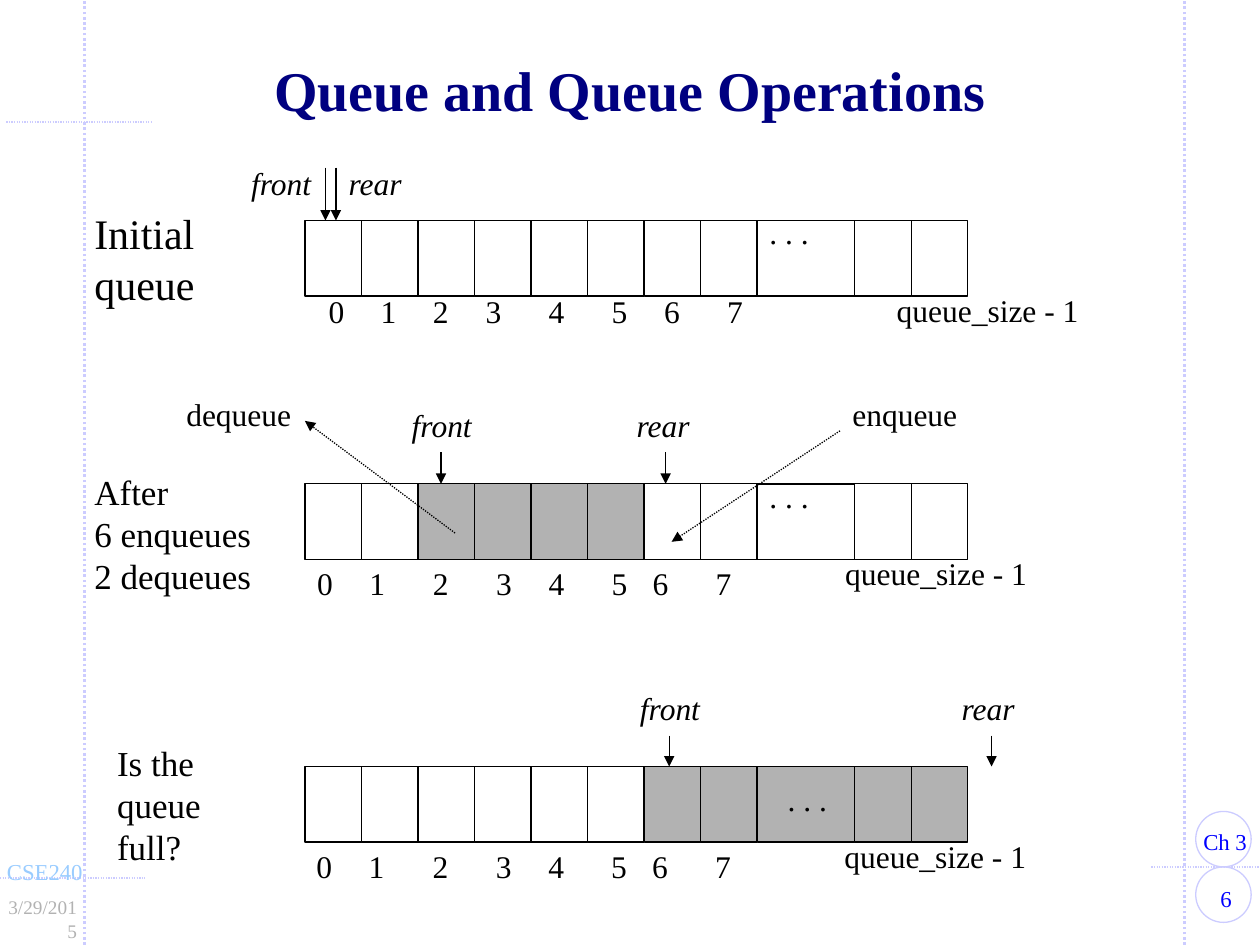
from dataclasses import dataclass

from lxml import etree
from pptx import Presentation
from pptx.dml.color import RGBColor
from pptx.enum.dml import MSO_LINE
from pptx.enum.shapes import MSO_CONNECTOR, MSO_SHAPE
from pptx.enum.text import MSO_ANCHOR, MSO_AUTO_SIZE, PP_ALIGN
from pptx.oxml.ns import qn
from pptx.util import Pt

STRAIGHT = MSO_CONNECTOR.STRAIGHT
RECT, OVAL = MSO_SHAPE.RECTANGLE, MSO_SHAPE.OVAL
DOT = MSO_LINE.ROUND_DOT  # written to the file as sysDot
LEFT, CENTER, RIGHT = PP_ALIGN.LEFT, PP_ALIGN.CENTER, PP_ALIGN.RIGHT
MIDDLE = MSO_ANCHOR.MIDDLE
FIT_SHAPE, NO_FIT = MSO_AUTO_SIZE.SHAPE_TO_FIT_TEXT, MSO_AUTO_SIZE.NONE

FONT = "Times New Roman"
BLACK = RGBColor(0x00, 0x00, 0x00)
WHITE = RGBColor(0xFF, 0xFF, 0xFF)
GRAY = RGBColor(0xB2, 0xB2, 0xB2)
NAVY = RGBColor(0x00, 0x00, 0x80)
BLUE = RGBColor(0x00, 0x00, 0xFF)
SKY = RGBColor(0x99, 0xCC, 0xFF)
LAVENDER = RGBColor(0xCC, 0xCC, 0xFF)

CELL_W, CELL_H = 32.3, 43.2
QUEUE_X = 174.3       # left edge of cell 0
TAIL_X = 488.4        # left edge of the last two cells
GAP_X = QUEUE_X + 8 * CELL_W


@dataclass
class Pointer:
    """A caption with a short arrow below it."""
    text: str
    text_x: float
    text_y: float
    arrow_x: float
    arrow_y: float


@dataclass
class Queue:
    y: float
    filled: range
    pointers: list[Pointer]
    index_x: list[float]
    index_y: float
    dots: tuple[float, float]
    size_label: tuple[float, float]
    gap_filled: bool = False


QUEUES = [
    Queue(126, range(0),
          [Pointer("front", 136.4, 90, 186, 95.8), Pointer("rear", 192.2, 90, 192, 95.8)],
          [180.7, 210.4, 240.3, 270.5, 306.5, 342.5, 372.5, 408.5], 163.3,
          (432.6, 126), (505.3, 162.8)),
    Queue(276.5, range(2, 6),
          [Pointer("front", 228.2, 228.4, 252, 258.5), Pointer("rear", 356.7, 228.4, 380.4, 258.5)],
          [174.2, 204, 240.3, 276.5, 306.5, 342.5, 365.9, 401.9], 318.6,
          (432.6, 276.5), (475.9, 313.3)),
    Queue(438, range(6, 10),
          [Pointer("front", 358.6, 390, 382.4, 420.3), Pointer("rear", 542.4, 390, 566.6, 420.3)],
          [173.8, 203.6, 240.1, 276.3, 306.3, 342.2, 365.6, 401.6], 480.6,
          (443, 450), (475.4, 475), gap_filled=True),
]


def fill_text(tf, text: str, size: float = 18, color: RGBColor = BLACK, bold: bool = False,
              italic: bool = False, align=LEFT, spacing: float | None = None) -> None:
    """Write one paragraph per line of text."""
    for i, line in enumerate(text.split("\n")):
        p = tf.paragraphs[0] if i == 0 else tf.add_paragraph()
        p.alignment = align
        if spacing:
            p.line_spacing = spacing
        r = p.add_run()
        r.text = line
        f = r.font
        f.name, f.size, f.bold, f.italic = FONT, Pt(size), bold, italic
        f.color.rgb = color


def add_label(s, text: str, x: float, y: float, w: float, h: float = 28.8,
              wrap: bool = False, inset: float = 7.2, **fmt) -> None:
    tf = s.shapes.add_textbox(Pt(x), Pt(y), Pt(w), Pt(h)).text_frame
    tf.word_wrap = wrap
    tf.auto_size = FIT_SHAPE
    tf.margin_left = tf.margin_right = Pt(inset)
    fill_text(tf, text, **fmt)


def add_box(s, kind, x: float, y: float, w: float, h: float,
            fill: RGBColor | None = None, line: RGBColor = BLACK) -> None:
    sp = s.shapes.add_shape(kind, Pt(x), Pt(y), Pt(w), Pt(h))
    sp.shadow.inherit = False
    if fill is None:
        sp.fill.background()
    else:
        sp.fill.solid()
        sp.fill.fore_color.rgb = fill
    sp.line.color.rgb = line
    sp.line.width = Pt(0.75)


def add_line(s, x1: float, y1: float, x2: float, y2: float, color: RGBColor = BLACK,
             width: float = 0.75, dotted: bool = False, arrow: bool = False) -> None:
    cxn = s.shapes.add_connector(STRAIGHT, Pt(x1), Pt(y1), Pt(x2), Pt(y2))
    cxn.line.color.rgb = color
    cxn.line.width = Pt(width)
    if dotted:
        cxn.line.dash_style = DOT
    if arrow:
        etree.SubElement(cxn.line._get_or_add_ln(), qn("a:tailEnd"), type="triangle")
    etree.SubElement(cxn._element.spPr, qn("a:effectLst"))


def add_frame(s) -> None:
    """Dotted margin rules, page circles and footer texts."""
    for x in (48.2, 676.8):
        add_line(s, x, 540, x, 0, LAVENDER, 1.5, dotted=True)
    for x1, x2, y in ((0, 82.8, 501.8), (658, 723.6, 495.4), (3.6, 86.4, 69.8)):
        add_line(s, x1, y, x2, y, LAVENDER, dotted=True)
    for y in (463.7, 495.4):
        add_box(s, OVAL, 683.3, y, 31.7, 31.7, line=LAVENDER)
    add_label(s, "6", 679.7, 501.8, 41.8, 23, wrap=True, inset=7.9,
              size=13, color=BLUE, align=CENTER)
    add_label(s, "Ch 3", 679.7, 469.4, 44, 23, inset=7.9, size=13, color=BLUE)
    add_label(s, "CSE240", -3.9, 486.7, 64, 23, inset=7.9, size=13, color=SKY)
    add_label(s, "3/29/2015", -7.9, 508.3, 59.8, 20.9, wrap=True, inset=7.9,
              size=11, color=GRAY, align=RIGHT)


def add_queue(s, q: Queue) -> None:
    # Cells; positions 8 and 9 are the last two
    if q.gap_filled:
        add_box(s, RECT, GAP_X, q.y, TAIL_X - GAP_X, CELL_H, GRAY)
    else:
        for y in (q.y, q.y + CELL_H):
            add_line(s, 423.4, y, 498.6, y)
    for i in range(10):
        x = QUEUE_X + i * CELL_W if i < 8 else TAIL_X + (i - 8) * CELL_W
        add_box(s, RECT, x, q.y, CELL_W, CELL_H, GRAY if i in q.filled else WHITE)
    add_label(s, ". . .", *q.dots, 36.7, 20.2, spacing=0.6)

    # Index numbers below the cells
    for i, x in enumerate(q.index_x):
        add_label(s, str(i), x, q.index_y, 23.8)
    add_label(s, "queue_size - 1", *q.size_label, 118.8)

    # Front and rear
    for ptr in q.pointers:
        add_label(s, ptr.text, ptr.text_x, ptr.text_y,
                  49.7 if ptr.text == "front" else 45.4, italic=True)
        add_line(s, ptr.arrow_x, ptr.arrow_y, ptr.arrow_x, q.y, arrow=True)


def main() -> None:
    prs = Presentation()
    prs.slide_width, prs.slide_height = Pt(720), Pt(540)
    s = prs.slides.add_slide(prs.slide_layouts[5])

    # Title
    title = s.shapes.title
    title.left, title.top, title.width, title.height = Pt(52.6), Pt(31.7), Pt(614.9), Pt(44.6)
    tf = title.text_frame
    tf.vertical_anchor = MIDDLE
    tf.auto_size = NO_FIT
    fill_text(tf, "Queue and Queue Operations", size=32, color=NAVY, bold=True,
              align=CENTER, spacing=0.85)

    add_frame(s)
    for q in QUEUES:
        add_queue(s, q)

    # Captions of the three states
    add_label(s, "Initial\nqueue", 46.8, 115.2, 78, 64.8, size=24)
    add_label(s, "After\n6 enqueues\n2 dequeues", 46.8, 265.3, 112, 79.2, size=20)
    add_label(s, "Is the queue full?", 59.8, 420, 90, 79.2, wrap=True, size=20)

    # Elements leaving and entering the middle queue
    add_label(s, "dequeue", 99.4, 222.3, 74.9)
    add_label(s, "enqueue", 480, 222.3, 74.9)
    add_line(s, 260, 304.6, 174.2, 240.5, dotted=True, arrow=True)
    add_line(s, 480, 246.2, 383.8, 309.6, dotted=True, arrow=True)

    prs.save("out.pptx")


if __name__ == "__main__":
    main()
